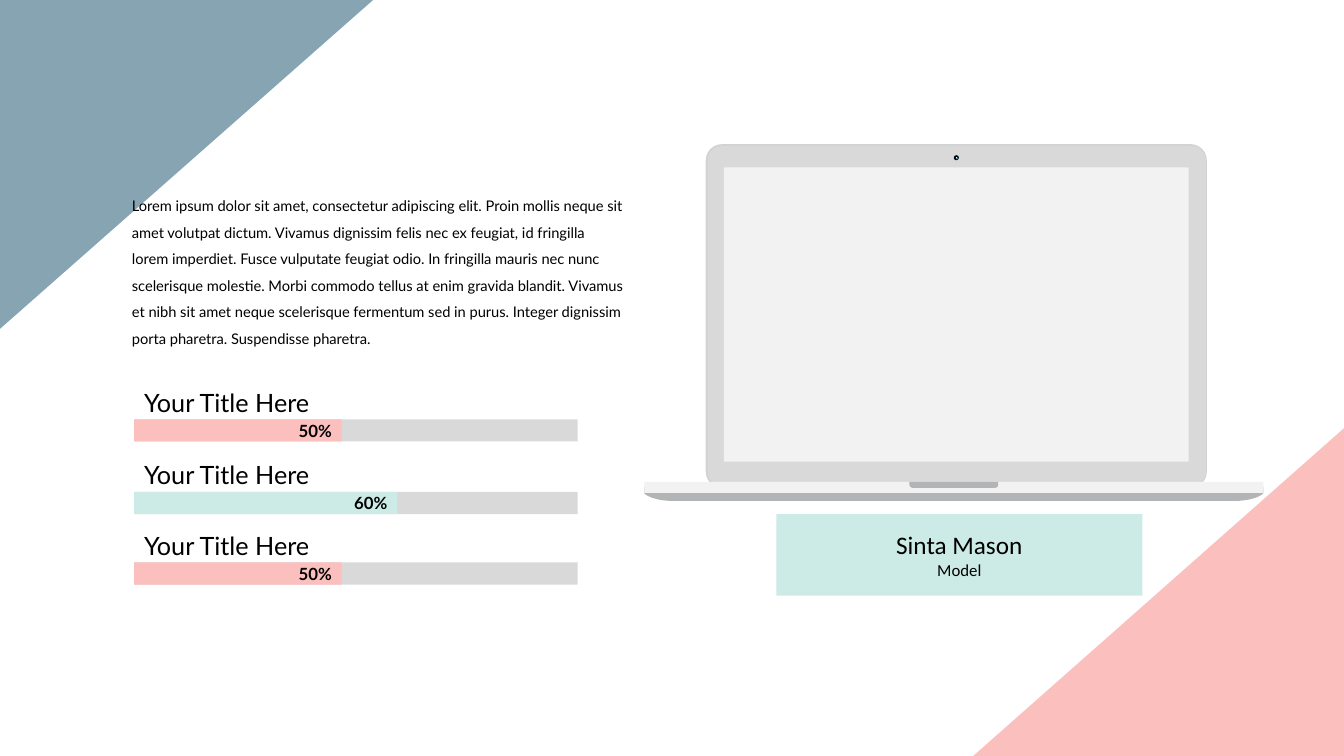
from dataclasses import dataclass

from pptx import Presentation
from pptx.dml.color import RGBColor
from pptx.enum.shapes import MSO_SHAPE
from pptx.enum.text import MSO_ANCHOR, MSO_AUTO_SIZE, PP_ALIGN
from pptx.util import Inches, Pt

RECTANGLE = MSO_SHAPE.RECTANGLE
ROUNDED = MSO_SHAPE.ROUNDED_RECTANGLE
ROUNDED_PAIR = MSO_SHAPE.ROUND_2_SAME_RECTANGLE
TRIANGLE = MSO_SHAPE.RIGHT_TRIANGLE
OVAL = MSO_SHAPE.OVAL
MIDDLE = MSO_ANCHOR.MIDDLE
GROW = MSO_AUTO_SIZE.SHAPE_TO_FIT_TEXT
LEFT, CENTER, RIGHT = PP_ALIGN.LEFT, PP_ALIGN.CENTER, PP_ALIGN.RIGHT


@dataclass(frozen=True)
class Theme:
    slate: str = "87A4B2"
    pink: str = "FBBFBE"
    mint: str = "CCEBE6"
    track: str = "D9D9D9"
    lid_edge: str = "D2D3D5"
    pale: str = "F2F2F2"
    shade: str = "B3B4B5"
    camera: str = "0A0A0A"
    lens: str = "2C99B4"
    white: str = "FFFFFF"
    text: str = "000000"
    font: str = "Lato"
    name_font: str = "Calibri"
    body_size: float = 10.5
    label_size: float = 12
    title_size: float = 18


theme = Theme()

# Content
INTRO = (
    "Lorem ipsum dolor sit amet, consectetur adipiscing elit. Proin mollis neque sit amet "
    "volutpat dictum. Vivamus dignissim felis nec ex feugiat, id fringilla lorem imperdiet. "
    "Fusce vulputate feugiat odio. In fringilla mauris nec nunc scelerisque molestie. Morbi "
    "commodo tellus at enim gravida blandit. Vivamus et nibh sit amet neque scelerisque "
    "fermentum sed in purus. Integer dignissim porta pharetra. Suspendisse pharetra."
)
# title, value, filled width, bar top, colour
BARS = [
    ("Your Title Here", "50%", 2.06, 4.16, theme.pink),
    ("Your Title Here", "60%", 2.61, 4.88, theme.mint),
    ("Your Title Here", "50%", 2.06, 5.58, theme.pink),
]
BAR_LEFT, BAR_WIDTH, BAR_HEIGHT = 1.33, 4.4, 0.22
TITLE_WIDTH, TITLE_HEIGHT, TITLE_RISE = 4.38, 0.4, 0.37
PERSON = [("Sinta Mason", theme.title_size), ("Model", theme.label_size)]

# kind, (left, top, width, height), colour, corner adjustments
LAPTOP_PARTS = [
    (ROUNDED, (7, 1.43, 4.97, 3.41), theme.lid_edge, [0.047]),
    (ROUNDED, (7.02, 1.45, 4.94, 3.37), theme.track, [0.042]),
    (RECTANGLE, (6.39, 4.78, 6.14, 0.11), theme.pale, []),
    (ROUNDED_PAIR, (9.02, 4.78, 0.88, 0.06), theme.shade, [0, 0.5]),
    (RECTANGLE, (7.18, 1.66, 4.61, 2.92), theme.pale, []),
    (OVAL, (9.46, 1.54, 0.05, 0.05), theme.camera, []),
    (OVAL, (9.47, 1.55, 0.03, 0.03), theme.text, []),
    (OVAL, (9.48, 1.56, 0.02, 0.02), theme.lens, []),
]
GLINT = [(9.49, 1.56), (9.49, 1.57), (9.48, 1.56)]
BASE_LEFT, BASE_RIGHT, BASE_TOP = 6.39, 12.53, 4.83
BASE_CORNER = [(0, 4.89), (0, 4.91), (0.11, 4.97), (0.28, 4.97)]
CURVE_STEPS = 12


def paint(shape, color):
    shape.shadow.inherit = False
    shape.fill.solid()
    shape.fill.fore_color.rgb = RGBColor.from_string(color)
    shape.line.fill.background()
    return shape


def add_block(shapes, kind, box, color, adjustments=()):
    shape = shapes.add_shape(kind, *map(Inches, box))
    for index, value in enumerate(adjustments):
        shape.adjustments[index] = value
    return paint(shape, color)


def add_outline(shapes, points, color):
    start, *rest = [(Inches(x), Inches(y)) for x, y in points]
    builder = shapes.build_freeform(*start)
    builder.add_line_segments(rest, close=True)
    return paint(builder.convert_to_shape(), color)


def write(shape, lines, font=theme.font, align=LEFT, bold=False, spacing=None):
    frame = shape.text_frame
    frame.word_wrap = True
    for index, (text, size) in enumerate(lines):
        paragraph = frame.paragraphs[0] if index == 0 else frame.add_paragraph()
        paragraph.alignment = align
        paragraph.line_spacing = spacing
        run = paragraph.add_run()
        run.text = text
        run.font.name = font
        run.font.size = Pt(size)
        run.font.bold = bold
        run.font.color.rgb = RGBColor.from_string(theme.text)
    return frame


def curve_point(points, t):
    weights = ((1 - t) ** 3, 3 * t * (1 - t) ** 2, 3 * t * t * (1 - t), t ** 3)
    return tuple(sum(w * p[axis] for w, p in zip(weights, points)) for axis in (0, 1))


presentation = Presentation()
presentation.slide_width = Inches(13.33)
presentation.slide_height = Inches(7.5)
slide = presentation.slides.add_slide(presentation.slide_layouts[6])
shapes = slide.shapes

# Upper corner
add_block(shapes, TRIANGLE, (0.2, -0.22, 3.28, 3.72), theme.slate).rotation = 90

# Laptop, with a mirrored curve at each end of its base
laptop = shapes.add_group_shape().shapes
corner = [curve_point(BASE_CORNER, step / CURVE_STEPS) for step in range(CURVE_STEPS + 1)]
left_edge = [(BASE_LEFT, BASE_TOP)] + [(BASE_LEFT + x, y) for x, y in corner]
right_edge = [(BASE_LEFT + BASE_RIGHT - x, y) for x, y in reversed(left_edge)]
add_outline(laptop, left_edge + right_edge, theme.shade)
for part in LAPTOP_PARTS:
    add_block(laptop, *part)
add_outline(laptop, GLINT, theme.white)

# Introduction
intro = shapes.add_textbox(*map(Inches, (1.21, 1.82, 5.09, 1.69)))
write(intro, [(INTRO, theme.body_size)], spacing=1.5).auto_size = GROW

# Progress bars
for title, value, filled, top, color in BARS:
    add_block(shapes, RECTANGLE, (BAR_LEFT, top, BAR_WIDTH, BAR_HEIGHT), theme.track)
    bar = add_block(shapes, RECTANGLE, (BAR_LEFT, top, filled, BAR_HEIGHT), color)
    frame = write(bar, [(value, theme.label_size)], align=RIGHT, bold=True)
    frame.vertical_anchor = MIDDLE
    title_box = (BAR_LEFT, top - TITLE_RISE, TITLE_WIDTH, TITLE_HEIGHT)
    heading = shapes.add_textbox(*map(Inches, title_box))
    write(heading, [(title, theme.title_size)]).auto_size = GROW

# Name card
card = add_block(shapes, RECTANGLE, (7.7, 5.1, 3.63, 0.81), theme.mint)
frame = write(card, PERSON, font=theme.name_font, align=CENTER)
frame.vertical_anchor = MIDDLE
frame.auto_size = GROW
frame.margin_left = frame.margin_right = Inches(0.15)
frame.margin_top = frame.margin_bottom = Inches(0.15)

# Lower corner
add_block(shapes, TRIANGLE, (9.85, 4.02, 3.28, 3.71), theme.pink).rotation = 270

presentation.save("out.pptx")
